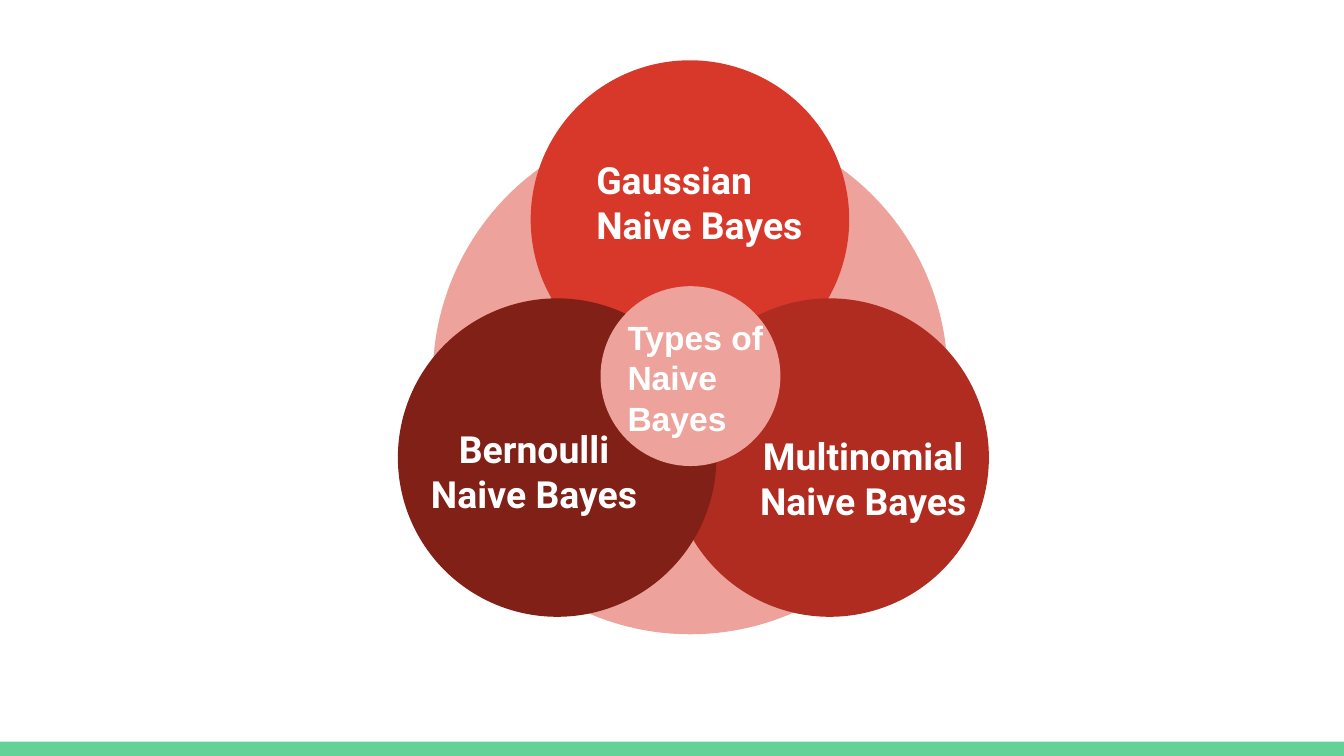
"""Build a slide of three overlapping discs that name the types of Naive Bayes."""
from typing import NamedTuple

from pptx import Presentation
from pptx.dml.color import RGBColor
from pptx.enum.shapes import MSO_SHAPE as Kind
from pptx.enum.text import MSO_ANCHOR as Anchor, PP_ALIGN as Align
from pptx.util import Cm, Pt

WIDE, HIGH = 25.4, 14.29
HUE = {
    "white": "FFFFFF",
    "green": "63D297",
    "pink": "EDA29B",
    "red": "D83829",
    "brick": "B02C20",
    "wine": "802017",
}


class Disc(NamedTuple):
    left: float
    top: float
    size: float
    hue: str


class Label(NamedTuple):
    text: str
    left: float
    top: float
    wide: float
    high: float = 1.96
    align: Align = Align.CENTER
    anchor: Anchor = Anchor.MIDDLE
    font: str = "Roboto"
    size: int = 20


PARTS = [
    Disc(8.18, 2.26, 9.73, "pink"),
    Disc(10.03, 1.14, 6.02, "red"),
    Label("Gaussian Naive Bayes", 11.02, 2.84, 5.21, align=Align.JUSTIFY),
    Disc(12.67, 5.64, 6.02, "brick"),
    Label("Multinomial Naive Bayes", 13.94, 8.05, 4.75),
    Disc(7.52, 5.64, 6.02, "wine"),
    Label("Bernoulli Naive Bayes", 7.72, 7.92, 4.75),
    Disc(11.35, 5.41, 3.4, "pink"),
    Label("Types of Naive Bayes", 11.61, 5.74, 3.63, 2.82,
          Align.LEFT, Anchor.TOP, "Arial", 18),
]


def fill(slide, kind: Kind, box: tuple, hue: str) -> None:
    shape = slide.shapes.add_shape(kind, *map(Cm, box))
    shape.shadow.inherit = False
    shape.fill.solid()
    shape.fill.fore_color.rgb = RGBColor.from_string(HUE[hue])
    shape.line.fill.background()


def write(slide, label: Label) -> None:
    box = map(Cm, (label.left, label.top, label.wide, label.high))
    frame = slide.shapes.add_textbox(*box).text_frame
    look = {"word_wrap": True, "vertical_anchor": label.anchor}
    look |= {f"margin_{side}": Cm(0.25)
             for side in ("left", "top", "right", "bottom")}
    for name, value in look.items():
        setattr(frame, name, value)
    para = frame.paragraphs[0]
    para.alignment = label.align
    run = para.add_run()
    run.text = label.text
    style = {"name": label.font, "size": Pt(label.size), "bold": True}
    for name, value in style.items():
        setattr(run.font, name, value)
    run.font.color.rgb = RGBColor.from_string(HUE["white"])


def main() -> None:
    deck = Presentation()
    deck.slide_width, deck.slide_height = Cm(WIDE), Cm(HIGH)
    slide = deck.slides.add_slide(deck.slide_layouts[6])
    fill(slide, Kind.RECTANGLE, (0, 14.02, WIDE, 0.27), "green")
    for part in PARTS:
        if isinstance(part, Disc):
            box = (part.left, part.top, part.size, part.size)
            fill(slide, Kind.OVAL, box, part.hue)
        else:
            write(slide, part)
    deck.save("out.pptx")


if __name__ == "__main__":
    main()
